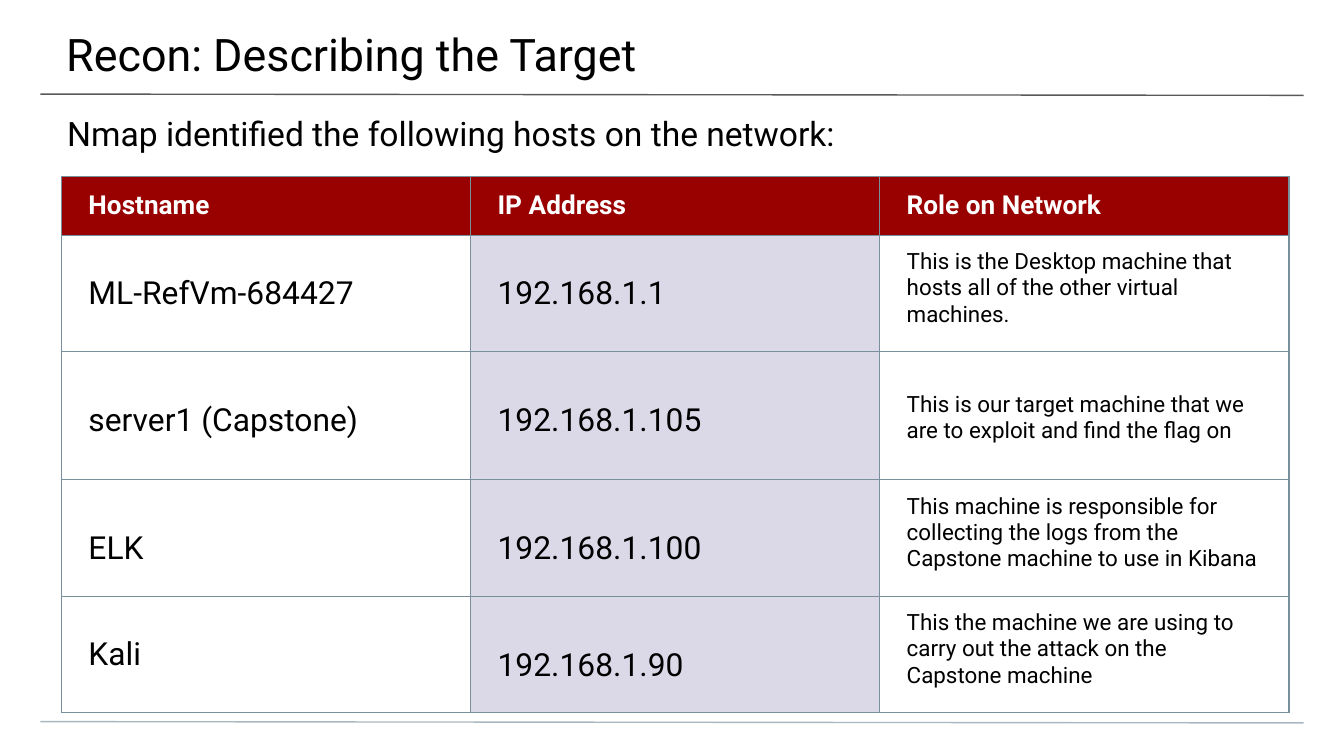
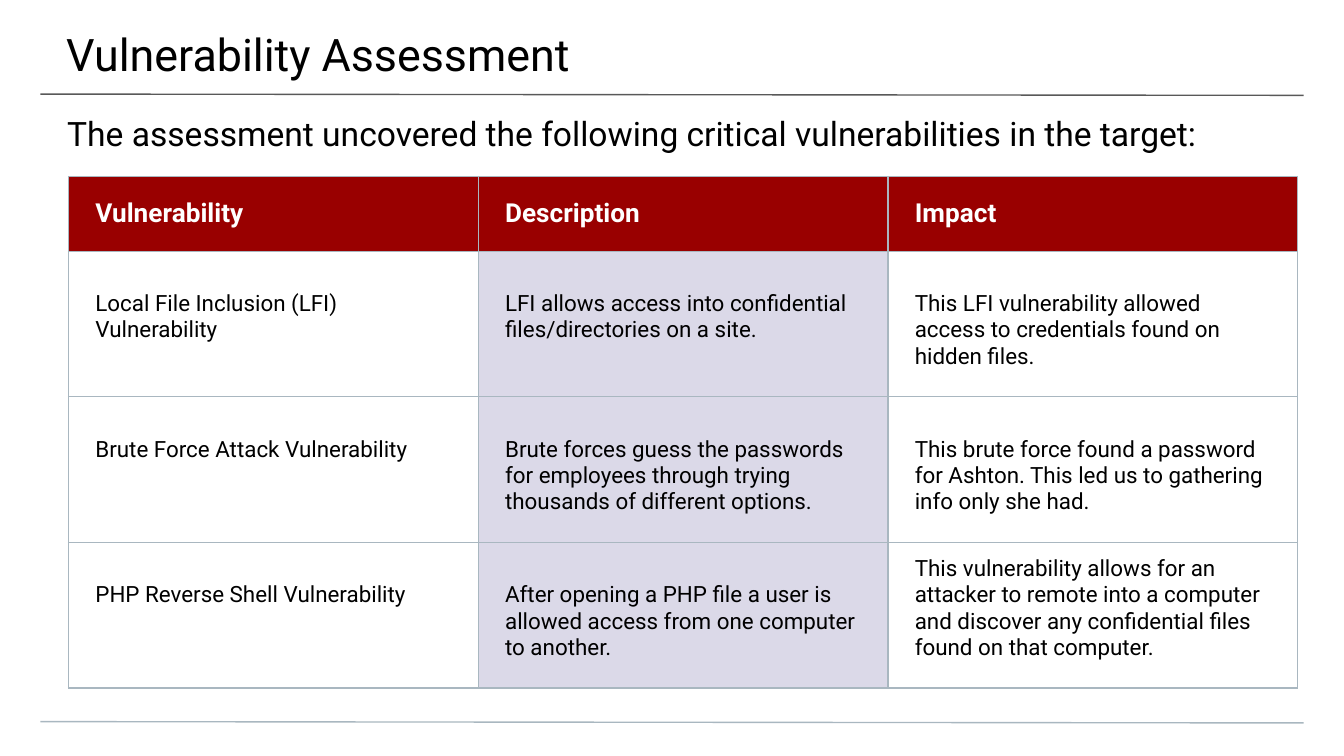
"""Builds two slides that tabulate the hosts and the vulnerabilities of a security assessment."""
import dataclasses

import lxml.etree
import pptx
import pptx.dml.color
import pptx.enum.shapes
import pptx.enum.text
import pptx.oxml
import pptx.oxml.ns
import pptx.util

Pt = pptx.util.Pt
ANCHOR = pptx.enum.text.MSO_ANCHOR


@dataclasses.dataclass(frozen=True)
class Theme:
    """Colours, font and type sizes of the deck."""
    font: str = "Roboto"
    ink: str = "000000"
    paper: str = "FFFFFF"
    header: str = "990000"
    accent: str = "DBD9E8"
    top_rule: str = "595959"
    bottom_rule: str = "A9B7C0"
    host_border: str = "78909C"
    title_size: float = 24
    lead_size: float = 18
    header_size: float = 14
    large_size: float = 17
    body_size: float = 12
    line_height: float = 1.17
    line_width: float = 0.75


THEME = Theme()
LARGE, BODY = THEME.large_size, THEME.body_size
PAGE_SIZE = (720, 405)
TITLE_BOX = (-0.5, 0, 722, 42)
LEAD_BOX = (0, 53.3, 720, 28.8)
TITLE_INSETS = (36, 14.4, 21.6, 7.2)
LEAD_INSETS = (36, 7.2, 36, 0)
CELL_INSETS = (14.4, 7.2, 14.4, 7.2)
RULES = [(50.4, THEME.top_rule), (386.6, THEME.bottom_rule)]
RULE_LEFT, RULE_RIGHT, RULE_SLOPE = 21.6, 698.4, 0.7
TABLE_TOP = 94.6
ACCENT_COLUMN = 1

PAGES = [
    {
        "title": "Recon: Describing the Target",
        "lead": "Nmap identified the following hosts on the network:",
        "left": 33,
        "column_width": 219.2,
        "row_heights": [31.5, 62.4, 68.6, 62.4, 62.4],
        "border": THEME.host_border,
        "sizes": (LARGE, LARGE, BODY),
        "header": ("Hostname", "IP Address", "Role on Network"),
        "rows": [
            ("ML-RefVm-684427", "192.168.1.1",
             "This is the Desktop machine that hosts all of the other virtual machines."),
            ("server1 (Capstone)", "192.168.1.105",
             "This is our target machine that we are to exploit and find the flag on"),
            ("ELK", "192.168.1.100",
             "This machine is responsible for collecting the logs from the Capstone machine to use in Kibana"),
            ("Kali", "192.168.1.90",
             "This the machine we are using to carry out the attack on the Capstone machine"),
        ],
        "drops": [(BODY, BODY, 0), (LARGE, LARGE, BODY), (LARGE, LARGE, 0), (BODY, LARGE, 0)],
    },
    {
        "title": "Vulnerability Assessment",
        "lead": "The assessment uncovered the following critical vulnerabilities in the target:",
        "left": 36.7,
        "column_width": 219.5,
        "row_heights": [40, 78, 78, 78],
        "border": THEME.bottom_rule,
        "sizes": (BODY, BODY, BODY),
        "header": ("Vulnerability", "Description", "Impact"),
        "rows": [
            ("Local File Inclusion (LFI) Vulnerability",
             "LFI allows access into confidential files/directories on a site.",
             "This LFI vulnerability allowed access to credentials found on hidden files."),
            ("Brute Force Attack Vulnerability",
             "Brute forces guess the passwords for employees through trying thousands of different options.",
             "This brute force found a password for Ashton. This led us to gathering info only she had."),
            ("PHP Reverse Shell Vulnerability",
             "After opening a PHP file a user is allowed access from one computer to another.",
             "This vulnerability allows for an attacker to remote into a computer and discover any "
             "confidential files found on that computer."),
        ],
        "drops": [(BODY, BODY, BODY), (BODY, BODY, BODY), (BODY, BODY, 0)],
    },
]


def rgb(value):
    """Turn a hex string into a colour."""
    return pptx.dml.color.RGBColor.from_string(value)


def write(frame, text, *, size, color=THEME.ink, bold=False):
    """Put one formatted paragraph into a text frame."""
    para = frame.paragraphs[0]
    para.alignment = pptx.enum.text.PP_ALIGN.LEFT
    para.space_before = Pt(0)
    span = para.add_run()
    span.text = text
    span.font.name = THEME.font
    span.font.size = Pt(size)
    span.font.bold = bold
    span.font.color.rgb = rgb(color)


def set_insets(target, insets):
    """Set the left, top, right and bottom margins of a frame or cell."""
    for side, inset in zip(("left", "top", "right", "bottom"), insets):
        setattr(target, f"margin_{side}", Pt(inset))


def fill_placeholder(box, text, *, place, insets, size):
    """Move a placeholder and write its text."""
    box.left, box.top, box.width, box.height = map(Pt, place)
    frame = box.text_frame
    frame.word_wrap = True
    frame.auto_size = pptx.enum.text.MSO_AUTO_SIZE.NONE
    frame.vertical_anchor = ANCHOR.TOP
    set_insets(frame, insets)
    write(frame, text, size=size)


def add_rules(page):
    """Draw the lines under the title and above the page foot."""
    for top, color in RULES:
        rule = page.shapes.add_connector(
            pptx.enum.shapes.MSO_CONNECTOR.STRAIGHT,
            Pt(RULE_LEFT), Pt(top), Pt(RULE_RIGHT), Pt(top + RULE_SLOPE))
        rule.line.color.rgb = rgb(color)
        rule.line.width = Pt(THEME.line_width)
        lxml.etree.SubElement(rule._element.spPr, pptx.oxml.ns.qn("a:effectLst"))


def add_borders(cell, color):
    """Line all four sides of a cell."""
    properties = cell._tc.get_or_add_tcPr()
    namespace = pptx.oxml.ns.nsdecls("a")
    for side in "LRTB":
        properties.append(pptx.oxml.parse_xml(
            f'<a:ln{side} {namespace} w="{Pt(THEME.line_width)}"><a:solidFill>'
            f'<a:srgbClr val="{color}"/></a:solidFill></a:ln{side}>'))


def fill_cell(cell, text, *, border, fill=None, drop=0, anchor=ANCHOR.TOP, **text_format):
    """Format a cell, lowering its text by one line of the drop size."""
    left, top, right, bottom = CELL_INSETS
    set_insets(cell, (left, top + drop * THEME.line_height, right, bottom))
    cell.vertical_anchor = anchor
    add_borders(cell, border)
    if fill:
        cell.fill.solid()
        cell.fill.fore_color.rgb = rgb(fill)
    else:
        cell.fill.background()
    write(cell.text_frame, text, **text_format)


def add_grid(page, content):
    """Add the table of a page."""
    heights, names = content["row_heights"], content["header"]
    width, border = content["column_width"], content["border"]
    table = page.shapes.add_table(
        len(heights), len(names), Pt(content["left"]), Pt(TABLE_TOP),
        Pt(width * len(names)), Pt(sum(heights))).table
    table.horz_banding = False
    for row, height in zip(table.rows, heights):
        row.height = Pt(height)
    for index, name in enumerate(names):
        table.columns[index].width = Pt(width)
        fill_cell(table.cell(0, index), name, border=border, fill=THEME.header,
                  anchor=ANCHOR.MIDDLE, size=THEME.header_size, color=THEME.paper, bold=True)
    for row_index, (texts, drops) in enumerate(zip(content["rows"], content["drops"]), 1):
        for index, (text, drop, size) in enumerate(zip(texts, drops, content["sizes"])):
            fill_cell(table.cell(row_index, index), text, border=border, drop=drop, size=size,
                      fill=THEME.accent if index == ACCENT_COLUMN else None)


def main():
    """Build and save the deck."""
    deck = pptx.Presentation()
    deck.slide_width, deck.slide_height = map(Pt, PAGE_SIZE)
    for content in PAGES:
        page = deck.slides.add_slide(deck.slide_layouts[0])
        add_rules(page)
        fill_placeholder(page.shapes.title, content["title"], place=TITLE_BOX,
                         insets=TITLE_INSETS, size=THEME.title_size)
        fill_placeholder(page.placeholders[1], content["lead"], place=LEAD_BOX,
                         insets=LEAD_INSETS, size=THEME.lead_size)
        add_grid(page, content)
    deck.save("out.pptx")


if __name__ == "__main__":
    main()
